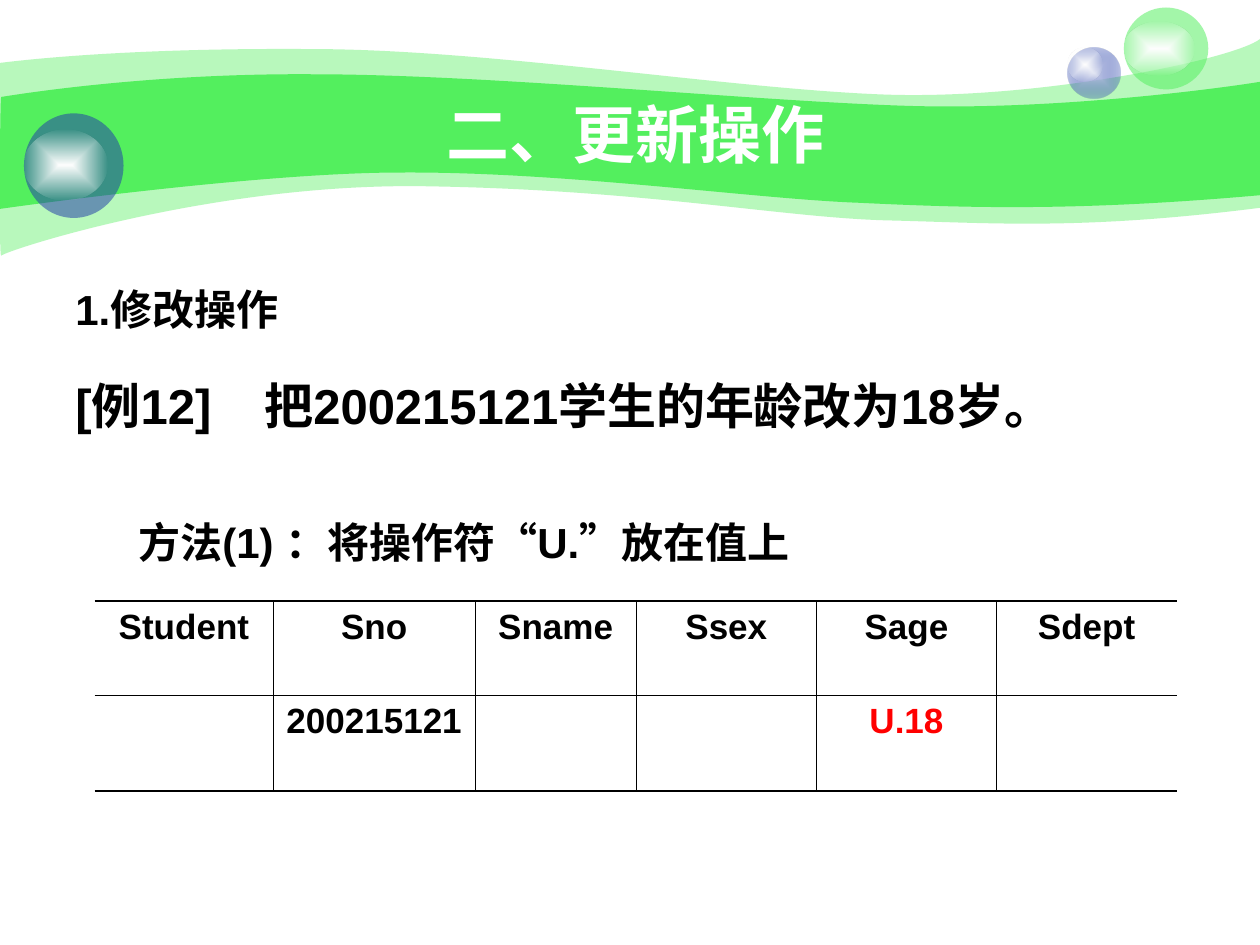
from lxml import etree
from pptx import Presentation
from pptx import util as u
from pptx.dml.color import RGBColor
from pptx.enum import shapes, text
from pptx.oxml import ns

PX = 9144


class Theme:
    font = "Arial"
    green = "53EF5E"
    blue = "233DA9"
    pale = "C7CEE9"
    white = "FFFFFF"
    black = "000000"
    red = "FF0000"
    title, example, body, cell = 36, 28, 24, 20
    thin, thick = 5715, 13716


def px(*vals):
    return [u.Emu(round(v * PX)) for v in vals]


def node(parent, tag, **attrs):
    return etree.SubElement(parent, ns.qn("a:" + tag), {k: str(v) for k, v in attrs.items()})


def tint(parent, color, alpha=100):
    node(node(parent, "srgbClr", val=color), "alpha", val=alpha * 1000)


def paint(shape, *stops):
    shape.shadow.inherit = False
    shape.line.fill.background()
    shape.fill.background()
    old = shape._element.spPr.find(ns.qn("a:noFill"))
    kind = "solidFill" if len(stops) == 1 else "gradFill"
    fill = etree.Element(ns.qn("a:" + kind))
    if len(stops) == 1:
        tint(fill, *stops[0])
    else:
        row = node(fill, "gsLst")
        for pos, stop in zip((0, 100000), stops):
            tint(node(row, "gs", pos=pos), *stop)
        way = node(fill, "path", path="rect")
        node(way, "fillToRect", l=50000, t=50000, r=50000, b=50000)
    old.getparent().replace(old, fill)


def write(para, words, size, color=Theme.black, align=text.PP_ALIGN.CENTER,
          before=0, lines=None, left=0, tab=None):
    para.alignment = align
    if before:
        para.space_before = u.Pt(before)
    if lines:
        para.line_spacing = lines
    props = para._p.get_or_add_pPr()
    props.set("marL", str(left * PX))
    props.set("indent", "0")
    if tab:
        node(node(props, "tabLst"), "tab", pos=tab * PX, algn="l")
    run = para.add_run()
    run.text = words
    run.font.name = Theme.font
    run.font.size = u.Pt(size)
    run.font.bold = True
    run.font.color.rgb = RGBColor.from_string(color)


def bend(form, count, side):
    lines = form._element.findall(".//" + ns.qn("a:lnTo"))
    trios = [lines[i:i + 3] for i in range(0, count * 3, 3) if i < side]
    trios += [lines[i:i + 3] for i in range(side + 1, count * 3 + 1, 3)]
    for trio in trios:
        arc = etree.Element(ns.qn("a:cubicBezTo"))
        trio[0].addprevious(arc)
        for line in trio:
            arc.append(line[0])
            line.getparent().remove(line)


def wave(slide, box, start, top, low, alpha):
    x, y = box[:2]
    dots = [px(x + a, y + b) for a, b in (start, *top, *low)]
    maker = slide.shapes.build_freeform(*dots[0])
    maker.add_line_segments(dots[1:], close=True)
    form = maker.convert_to_shape()
    bend(form, (len(dots) - 2) // 3, len(top))
    paint(form, (Theme.green, alpha))


def ball(slide, box, shine, *stops):
    group = slide.shapes.add_group_shape().shapes
    x, y, w, h = box
    dx, dy, sw, sh = shine
    oval = shapes.MSO_SHAPE.OVAL
    paint(group.add_shape(oval, *px(x, y, w, h)), *stops)
    paint(group.add_shape(oval, *px(x + dx, y + dy, sw, sh)),
          (Theme.white, 100), (Theme.white, 0))


def banner(slide, box):
    x, y = box[:2]
    wave(slide, box, (0, 50),
         ((24, 47), (107, 38), (247, 39), (386, 39), (575, 70), (699, 75),
          (822, 80), (980, 47), (1000, 31)),
         ((1000, 165), (858, 183), (787, 177), (705, 175),
          (622, 173), (515, 151), (343, 148), (172, 144), (4, 199), (1, 203),
          (-1, 208), (0, 75), (0, 50)), 41)
    wave(slide, box, (1, 77),
         ((2, 77), (110, 58), (248, 59), (386, 59), (595, 80), (718, 84),
          (841, 88), (976, 69), (1000, 65)),
         ((1000, 155), (853, 168), (765, 165), (682, 161),
          (599, 158), (447, 136), (317, 137), (203, 137), (-2, 166), (-1, 166),
          (0, 166), (0, 77), (1, 77)), 100)
    ball(slide, (x + 847, y + 38, 42, 40), (0, 0, 28, 27),
         (Theme.pale, 100), (Theme.blue, 31))
    ball(slide, (x + 892, y + 6, 67, 65), (0, 11, 56, 43), (Theme.green, 53))
    ball(slide, (x + 19, y + 90, 79, 83), (0, 13, 66, 56), (Theme.blue, 53))


def frame(slide, box, anchor):
    area = slide.shapes.add_textbox(*px(*box)).text_frame
    area.word_wrap = True
    area.vertical_anchor = anchor
    return area


def title(slide, box):
    area = frame(slide, box, text.MSO_ANCHOR.MIDDLE)
    write(area.paragraphs[0], "二、更新操作", Theme.title, Theme.white)


def body(slide, box):
    area = frame(slide, box, text.MSO_ANCHOR.TOP)
    side = text.PP_ALIGN.JUSTIFY
    write(area.paragraphs[0], "1.修改操作", Theme.body, align=side, lines=1.5)
    write(area.add_paragraph(), "[例12]\t把200215121学生的年龄改为18岁。",
          Theme.example, align=side, before=7, lines=1.5, tab=164)
    write(area.add_paragraph(), "方法(1) ：将操作符“U.”放在值上",
          Theme.body, align=side, before=47, left=50)


def edge(cell, side, width):
    line = node(cell._tc.get_or_add_tcPr(), "ln" + side, w=width)
    if width:
        tint(node(line, "solidFill"), Theme.black)
    else:
        node(line, "noFill")


def grid(slide, box, cols, rows, data):
    table = slide.shapes.add_table(len(rows), len(cols), *px(*box)).table
    table.first_row = table.horz_banding = False
    for col, wide in zip(table.columns, px(*cols)):
        col.width = wide
    for row, high in zip(table.rows, px(*rows)):
        row.height = high
    for r, line in enumerate(data):
        for c, words in enumerate(line):
            cell = table.cell(r, c)
            edge(cell, "L", Theme.thin if c else 0)
            edge(cell, "R", Theme.thin if c < len(cols) - 1 else 0)
            edge(cell, "T", Theme.thin if r else Theme.thick)
            edge(cell, "B", Theme.thin if r < len(rows) - 1 else Theme.thick)
            cell.fill.background()
            if words:
                color = Theme.red if words == "U.18" else Theme.black
                write(cell.text_frame.paragraphs[0], words, Theme.cell, color)


def main():
    deck = Presentation()
    deck.slide_width, deck.slide_height = px(1000, 750)
    slide = deck.slides.add_slide(deck.slide_layouts[6])
    banner(slide, (0, 0, 1000, 210))
    title(slide, (100, 75, 808, 62))
    body(slide, (50, 200, 875, 301))
    grid(slide, (75, 477, 860, 151), (142, 160, 128, 143, 143, 143), (75, 76),
         [["Student", "Sno", "Sname", "Ssex", "Sage", "Sdept"],
          ["", "200215121", "", "", "U.18", ""]])
    deck.save("out.pptx")


if __name__ == "__main__":
    main()
